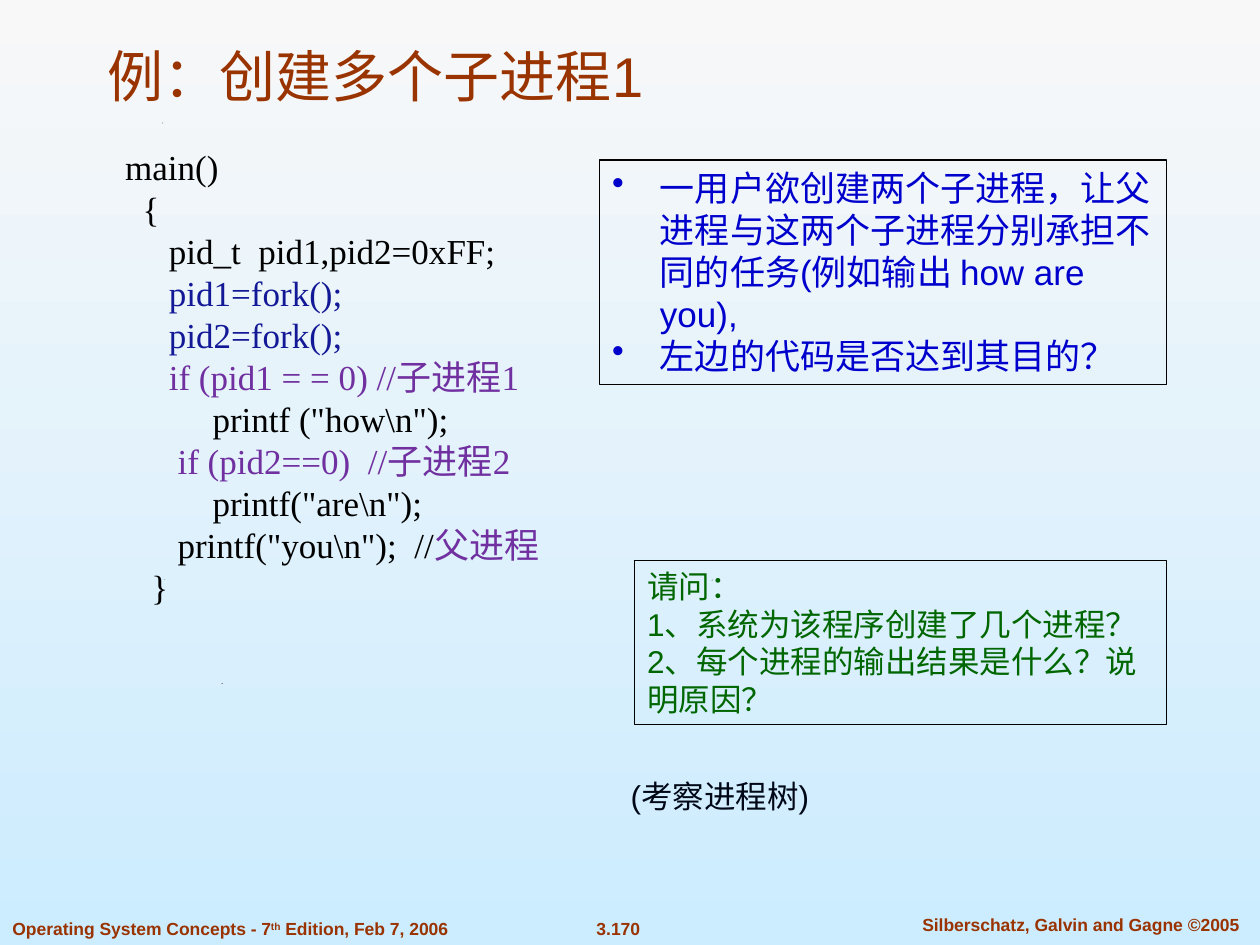
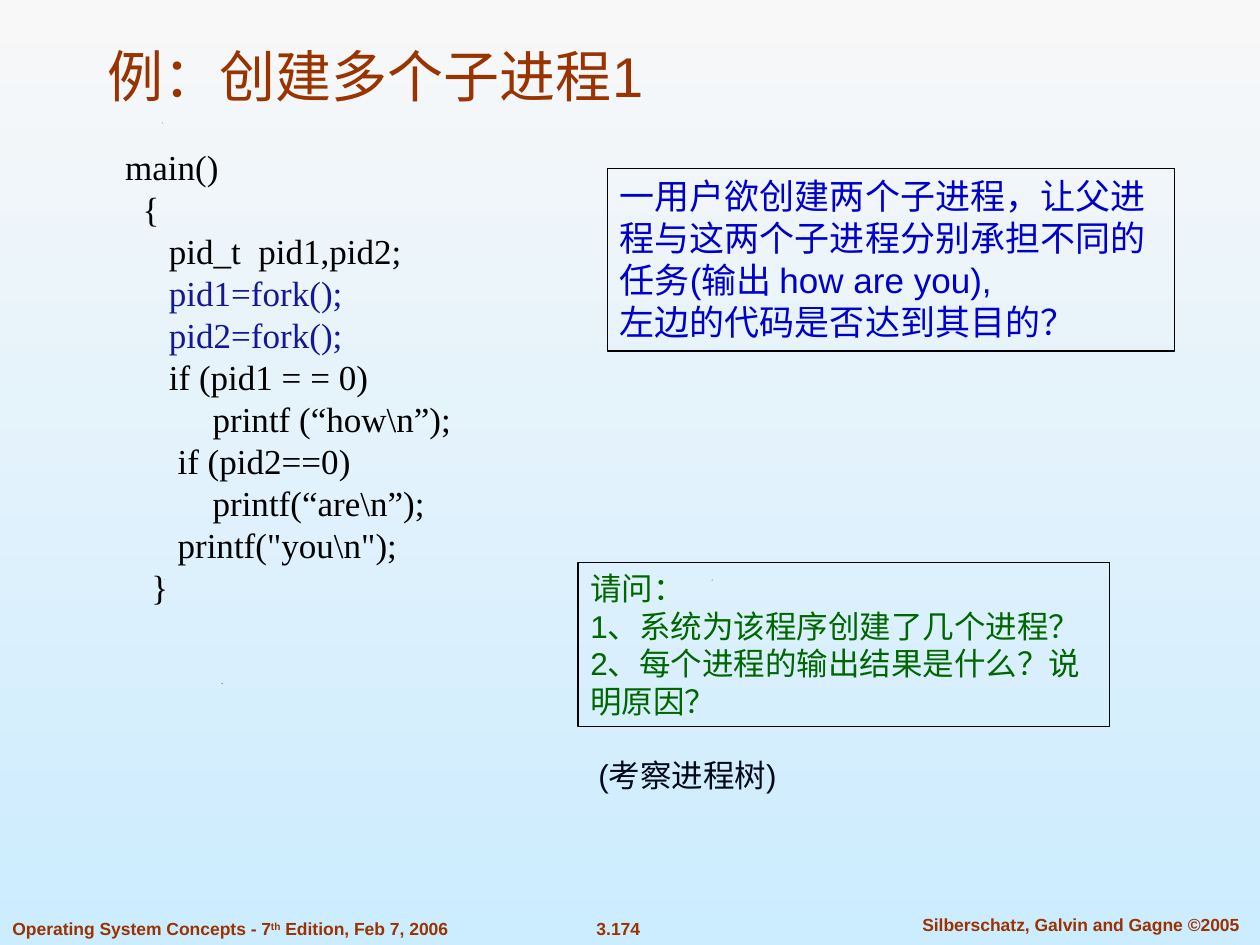
from dataclasses import dataclass
from typing import NamedTuple

from lxml.etree import SubElement
from pptx import Presentation
from pptx.dml.color import RGBColor
from pptx.enum.shapes import MSO_SHAPE as Preset
from pptx.enum.text import MSO_ANCHOR as Anchor, PP_ALIGN as Align
from pptx.oxml.ns import qn
from pptx.slide import Slide
from pptx.text.text import TextFrame
from pptx.util import Emu, Inches, Pt

COLUMNS, ROWS = 100, 75
CELL = Inches(0.1)
LINE_HEIGHT = 1.2
BULLET_INDENT = Inches(0.38)

RUST, BLACK, NAVY, PURPLE = "993300", "000000", "121896", "7030A0"
BLUE, GREEN, INK = "0000CC", "006600", "000818"
SKY_TOP, SKY_BOTTOM = "F8F8F8", "CCECFF"


class Place(NamedTuple):
    """A rectangle in grid columns and rows."""
    col: float
    row: float
    cols: float
    rows: float

    def emu(self) -> list[Emu]:
        return [Emu(round(cells * CELL)) for cells in self]


class Span(NamedTuple):
    text: str
    color: str
    raised: bool = False


@dataclass(frozen=True)
class Style:
    size: float
    color: str
    font: str = "Arial"
    bold: bool = False
    align: Align = Align.LEFT
    anchor: Anchor = Anchor.TOP
    wrap: bool = True
    bullet: str = ""


Line = str | Span | tuple[Span, ...]

TITLE = Style(32, RUST, anchor=Anchor.BOTTOM)
CODE = Style(20, BLACK, font="Times New Roman")
TASK = Style(20, BLUE)
TASK_LIST = Style(20, BLUE, bullet="•")
QUESTION = Style(18, GREEN)
HINT = Style(18, INK)
FOOTER = Style(10, RUST, bold=True, wrap=False)
FOOTER_CENTRED = Style(10, RUST, bold=True, align=Align.CENTER, wrap=False)

EDITION = (Span("Operating System Concepts - 7", RUST), Span("th", RUST, True),
           Span(" Edition, Feb 7, 2006", RUST))
QUESTIONS = ["请问：", "1、系统为该程序创建了几个进程？",
             "2、每个进程的输出结果是什么？说明原因？"]
FORKS = [Span("     pid1=fork();", NAVY), Span("     pid2=fork();", NAVY)]
GOAL = "左边的代码是否达到其目的？"

# Tiny triangles on the background, in columns and rows
SPECKS = [
    [(17.6, 54.3), (17.7, 54.2), (17.6, 54.25)],
    [(13, 46), (13.1, 46), (13, 46.02)],
    [(56.5, 46.1), (56.6, 46), (56.5, 46.05)],
    [(12.9, 9.8), (12.9, 9.7), (12.95, 9.8)],
]


@dataclass(frozen=True)
class ForkExample:
    number: str
    code: list[Line]
    code_place: Place
    task: list[Line]
    task_style: Style
    task_place: Place
    question_place: Place
    hint_place: Place


EXAMPLES = [
    ForkExample(
        number="3.170",
        code=["main()", "  {", "     pid_t  pid1,pid2=0xFF;", *FORKS,
              Span("     if (pid1 = = 0) //子进程1", PURPLE),
              '          printf ("how\\n");',
              Span("      if (pid2==0)  //子进程2", PURPLE),
              '          printf("are\\n");',
              (Span('      printf("you\\n");  //', BLACK), Span("父进程", PURPLE)),
              "   }"],
        code_place=Place(8.95, 11.07, 40.4, 57.7),
        task=["一用户欲创建两个子进程，让父进程与这两个子进程分别承担不同的任务"
              "(例如输出 how are you),", GOAL],
        task_style=TASK_LIST,
        task_place=Place(47.6, 12.7, 45, 17.8),
        question_place=Place(50.37, 44.5, 42.2, 13),
        hint_place=Place(49.07, 61.2, 16.3, 4),
    ),
    ForkExample(
        number="3.174",
        code=["main()", "  {", "     pid_t  pid1,pid2;", *FORKS,
              "     if (pid1 = = 0)", "          printf (“how\\n”);",
              "      if (pid2==0)", "          printf(“are\\n”);",
              '      printf("you\\n");', "   }"],
        code_place=Place(8.95, 11.07, 32.8, 39.3),
        task=["一用户欲创建两个子进程，让父进程与这两个子进程分别承担不同的任务"
              "(输出 how are you),", GOAL],
        task_style=TASK,
        task_place=Place(48.2, 13.35, 45, 14.5),
        question_place=Place(45.87, 44.65, 42.2, 13),
        hint_place=Place(46.5, 59.5, 16.3, 4),
    ),
]


def rgb(color: str) -> RGBColor:
    return RGBColor.from_string(color)


def add_bullet(paragraph, mark: str) -> None:
    properties = paragraph._p.get_or_add_pPr()
    properties.set("marL", str(BULLET_INDENT))
    properties.set("indent", str(-BULLET_INDENT))
    SubElement(properties, qn("a:buChar")).set("char", mark)


def spans_of(line: Line, color: str) -> tuple[Span, ...]:
    if isinstance(line, str):
        return (Span(line, color),)
    return (line,) if isinstance(line, Span) else line


def write(frame: TextFrame, lines: list[Line], style: Style) -> None:
    frame.word_wrap = style.wrap
    frame.vertical_anchor = style.anchor
    for index, line in enumerate(lines):
        paragraph = frame.add_paragraph() if index else frame.paragraphs[0]
        if style.bullet:
            add_bullet(paragraph, style.bullet)
        paragraph.alignment = style.align
        paragraph.line_spacing = Pt(style.size * LINE_HEIGHT)
        for span in spans_of(line, style.color):
            run = paragraph.add_run()
            run.text = span.text
            run.font.name = style.font
            run.font.size = Pt(style.size)
            run.font.bold = style.bold
            run.font.color.rgb = rgb(span.color)
            if span.raised:
                run.font._element.set("baseline", "30000")


def add_text(slide: Slide, place: Place, lines: list[Line], style: Style) -> None:
    write(slide.shapes.add_textbox(*place.emu()).text_frame, lines, style)


def add_framed_text(slide: Slide, place: Place, lines: list[Line], style: Style) -> None:
    frame = slide.shapes.add_shape(Preset.RECTANGLE, *place.emu())
    frame.shadow.inherit = False
    frame.fill.background()
    frame.line.color.rgb = rgb(BLACK)
    frame.line.width = Pt(0.75)
    write(frame.text_frame, lines, style)


def add_specks(slide: Slide) -> None:
    for corners in SPECKS:
        start, *rest = [(col * CELL, row * CELL) for col, row in corners]
        builder = slide.shapes.build_freeform(*start)
        builder.add_line_segments(rest, close=True)
        speck = builder.convert_to_shape()
        speck.shadow.inherit = False
        speck.fill.solid()
        speck.fill.fore_color.rgb = rgb(BLACK)
        speck.line.fill.background()


def add_frame(slide: Slide, number: str) -> None:
    """Draw the specks, footers and title that every slide carries."""
    add_specks(slide)
    add_text(slide, Place(45.87, 72.38, 6.4, 2.7), [number], FOOTER_CENTRED)
    add_text(slide, Place(70.93, 72.08, 29.7, 2.7),
             ["Silberschatz, Galvin and Gagne ©2005"], FOOTER_CENTRED)
    add_text(slide, Place(0, 72.38, 40.9, 2.7), [EDITION], FOOTER)
    add_text(slide, Place(7.57, 2.42, 88.3, 6.7), ["例：创建多个子进程1"], TITLE)


def paint_background(deck) -> None:
    fill = deck.slide_master.background.fill
    fill.gradient()
    fill.gradient_angle = 270
    for stop, color in zip(fill.gradient_stops, (SKY_TOP, SKY_BOTTOM)):
        stop.color.rgb = rgb(color)


def add_example(deck, example: ForkExample) -> None:
    slide = deck.slides.add_slide(deck.slide_layouts[6])
    add_frame(slide, example.number)
    add_text(slide, example.code_place, example.code, CODE)
    add_framed_text(slide, example.question_place, QUESTIONS, QUESTION)
    add_framed_text(slide, example.task_place, example.task, example.task_style)
    add_text(slide, example.hint_place, ["(考察进程树)"], HINT)


def main() -> None:
    deck = Presentation()
    deck.slide_width, deck.slide_height = COLUMNS * CELL, ROWS * CELL
    paint_background(deck)
    for example in EXAMPLES:
        add_example(deck, example)
    deck.save("out.pptx")


if __name__ == "__main__":
    main()
